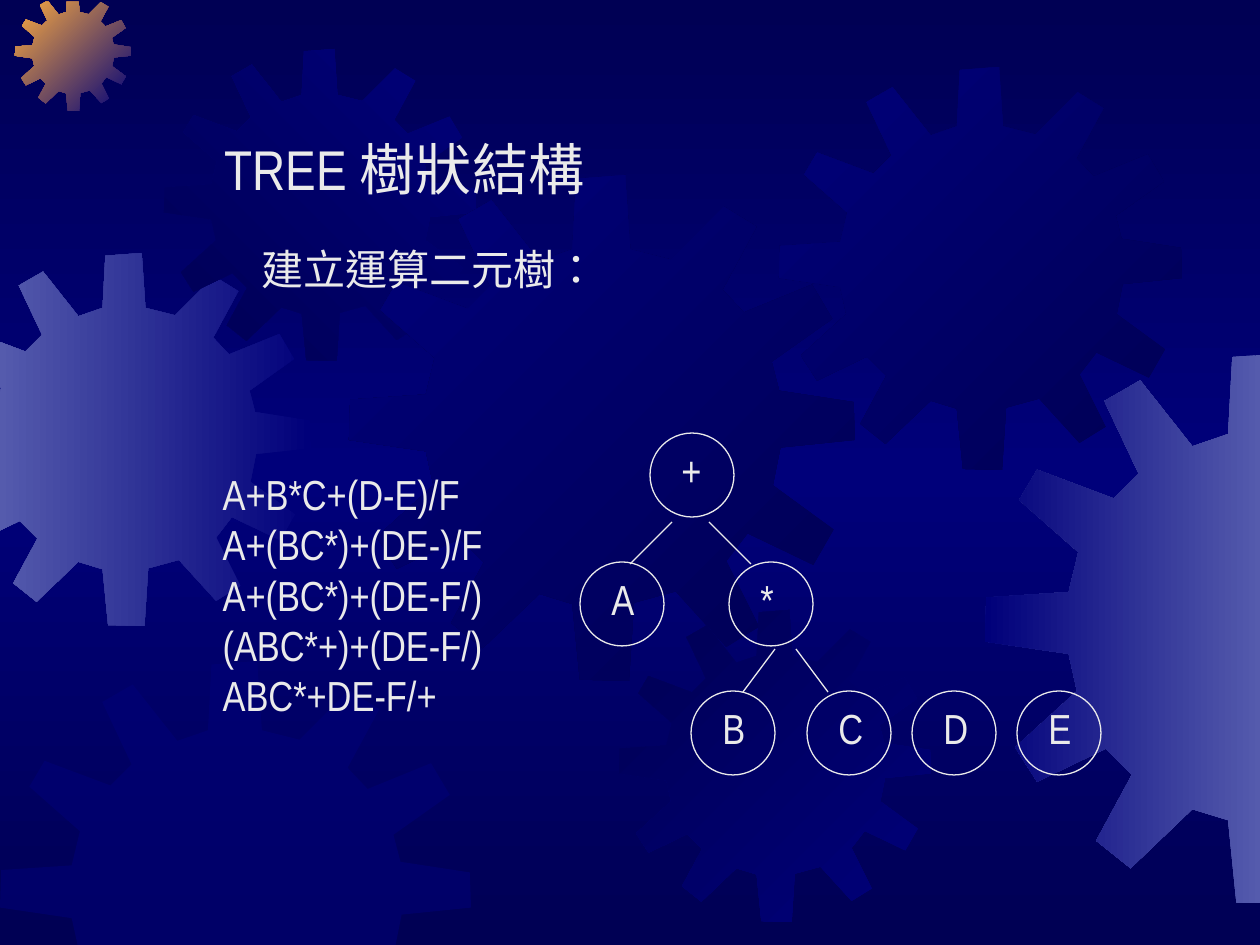
from lxml.etree import SubElement
from pptx import Presentation
from pptx.dml.color import RGBColor
from pptx.enum.shapes import MSO_CONNECTOR, MSO_SHAPE
from pptx.enum.text import MSO_ANCHOR, MSO_AUTO_SIZE, PP_ALIGN
from pptx.oxml.ns import qn
from pptx.util import Emu, Pt

COLORS = {"night": "000054", "navy": "00007A", "steel": "555BAD",
          "amber": "FCAB40", "text": "EAEAEA"}
FONT = "Arial Narrow"
LANGUAGE = "zh-TW"
SLIDE_SIZE = (1260, 945)

TITLE = "TREE 樹狀結構"
SUBTITLE = "建立運算二元樹："
EXPRESSIONS = ["A+B*C+(D-E)/F", "A+(BC*)+(DE-)/F", "A+(BC*)+(DE-F/)",
               "(ABC*+)+(DE-F/)", "ABC*+DE-F/+"]

# symbol, circle left, circle top, label width
NODES = [("D", 912, 691, 49), ("E", 1017, 691, 48), ("C", 807, 691, 49),
         ("B", 691, 691, 48), ("*", 729, 562, 38), ("A", 580, 562, 48),
         ("+", 650, 433, 45)]
NODE_DIAMETER = 84
LABEL_OFFSET = (19, 5)
LABEL_HEIGHT = 63
EDGES = [(775, 649, 743, 692), (796, 649, 828, 692),
         (672, 522, 630, 564), (709, 522, 751, 564)]

# left, top, size, gradient angle (None for a half-transparent fill), colours
GEARS = [(-62, 253, 373, 180, ["navy", "steel"]),
         (15, -5, 116, 225, ["navy", "amber"]),
         (164, 49, 312, 135, ["navy", "night"]),
         (349, 175, 506, 225, ["night", "navy"]),
         (0, 661, 471, None, ["navy"]),
         (619, 610, 312, 225, ["navy", "night"]),
         (779, 67, 403, 225, ["night", "navy"]),
         (985, 353, 551, 180, ["steel", "navy"])]
GEAR_UNITS = 401
GEAR_OUTLINE = [
    (255, 67), (223, 59), (219, 0), (180, 3), (177, 59), (151, 68),
    (113, 20), (87, 35), (112, 88), (94, 106), (38, 85), (25, 107),
    (68, 145), (61, 174), (1, 178), (0, 210), (61, 219), (67, 246),
    (22, 287), (38, 312), (88, 288), (107, 307), (81, 355), (106, 375),
    (151, 332), (177, 340), (183, 400), (222, 401), (226, 339), (259, 330),
    (299, 374), (325, 358), (299, 306), (316, 284), (368, 309), (384, 281),
    (336, 246), (342, 216), (401, 210), (400, 180), (341, 171), (335, 148),
    (383, 114), (367, 87), (313, 109), (296, 91), (323, 41), (297, 25)]
# axis, limit, side to keep
GEAR_BOUNDS = [(0, -1, 1), (0, 1261, -1), (1, 2, 1), (1, 950, -1)]


def px(value):
    return Emu(round(value * 914400 / 126))


def color(name):
    return RGBColor.from_string(COLORS[name])


def set_gradient(fill, element, angle, names):
    """Spread the named colours evenly; the angle runs clockwise."""
    fill.gradient()
    fill.gradient_angle = (360 - angle) % 360
    stops = next(element.iter(qn("a:gsLst")))
    for stop in list(stops):
        stops.remove(stop)
    for index, name in enumerate(names):
        position = round(index * 100000 / (len(names) - 1))
        stop = SubElement(stops, qn("a:gs"), pos=str(position))
        SubElement(stop, qn("a:srgbClr"), val=COLORS[name])


def clip(points, axis, limit, side):
    """Keep the part of a polygon that lies on one side of a limit."""
    kept = []
    for start, end in zip(points[-1:] + points[:-1], points):
        start_gap = (start[axis] - limit) * side
        end_gap = (end[axis] - limit) * side
        if start_gap * end_gap < 0:
            share = start_gap / (start_gap - end_gap)
            kept.append(tuple(a + share * (b - a) for a, b in zip(start, end)))
        if end_gap >= 0:
            kept.append(end)
    return kept


def add_gear(slide, left, top, size, angle, names):
    ratio = size / GEAR_UNITS
    points = [(left + x * ratio, top + y * ratio) for x, y in GEAR_OUTLINE]
    for bound in GEAR_BOUNDS:
        points = clip(points, *bound)
    points = [(px(x), px(y)) for x, y in points]
    builder = slide.shapes.build_freeform(*points[0])
    builder.add_line_segments(points[1:], close=True)
    gear = builder.convert_to_shape()
    gear.shadow.inherit = False
    gear.line.fill.background()
    if angle is None:
        gear.fill.solid()
        gear.fill.fore_color.rgb = color(names[0])
        fill_color = next(gear.element.spPr.iter(qn("a:srgbClr")))
        SubElement(fill_color, qn("a:alpha"), val="50000")
    else:
        set_gradient(gear.fill, gear.element, angle, names)


def place(shape, left, top, width, height):
    shape.left, shape.top = px(left), px(top)
    shape.width, shape.height = px(width), px(height)


def write(shape, lines, size=24):
    frame = shape.text_frame
    frame.word_wrap = False
    frame.auto_size = MSO_AUTO_SIZE.SHAPE_TO_FIT_TEXT
    frame.vertical_anchor = MSO_ANCHOR.TOP
    for index, line in enumerate(lines):
        paragraph = frame.add_paragraph() if index else frame.paragraphs[0]
        paragraph.alignment = PP_ALIGN.LEFT
        paragraph.space_before = Pt(0)
        run = paragraph.add_run()
        run.text = line
        run.font.name = FONT
        run.font.size = Pt(size)
        run.font.color.rgb = color("text")
        run._r.get_or_add_rPr().set("lang", LANGUAGE)


def remove_bullets(shape):
    for paragraph in shape.text_frame.paragraphs:
        properties = paragraph._p.get_or_add_pPr()
        properties.set("marL", "0")
        properties.set("indent", "0")
        SubElement(properties, qn("a:buNone"))


def style_line(shape):
    shape.line.color.rgb = color("text")
    shape.line.width = Pt(0.75)


def add_node(slide, symbol, left, top, label_width):
    group = slide.shapes.add_group_shape()
    circle = group.shapes.add_shape(MSO_SHAPE.OVAL, px(left), px(top),
                                    px(NODE_DIAMETER), px(NODE_DIAMETER))
    circle.shadow.inherit = False
    circle.fill.background()
    style_line(circle)
    label = group.shapes.add_textbox(px(left + LABEL_OFFSET[0]), px(top + LABEL_OFFSET[1]),
                                     px(label_width), px(LABEL_HEIGHT))
    write(label, [symbol])


def add_edge(slide, *ends):
    edge = slide.shapes.add_connector(MSO_CONNECTOR.STRAIGHT, *map(px, ends))
    style_line(edge)
    SubElement(edge.element.spPr, qn("a:effectLst"))


def main():
    presentation = Presentation()
    presentation.slide_width, presentation.slide_height = map(px, SLIDE_SIZE)
    slide = presentation.slides.add_slide(presentation.slide_layouts[1])
    set_gradient(slide.background.fill, slide.element, 90, ["night", "navy", "night"])

    for gear in GEARS:
        add_gear(slide, *gear)

    title, body = slide.shapes.title, slide.placeholders[1]
    for placeholder in (title, body):  # bring in front of the gears
        placeholder.element.getparent().append(placeholder.element)
    place(title, 212, 128, 412, 81)
    write(title, [TITLE], size=32)
    place(body, 210, 462, 300, 265)
    write(body, EXPRESSIONS)
    remove_bullets(body)
    subtitle = slide.shapes.add_textbox(px(249), px(237), px(360), px(LABEL_HEIGHT))
    write(subtitle, [SUBTITLE])

    for node in NODES:
        add_node(slide, *node)
    for edge in EDGES:
        add_edge(slide, *edge)
    presentation.save("out.pptx")


if __name__ == "__main__":
    main()
